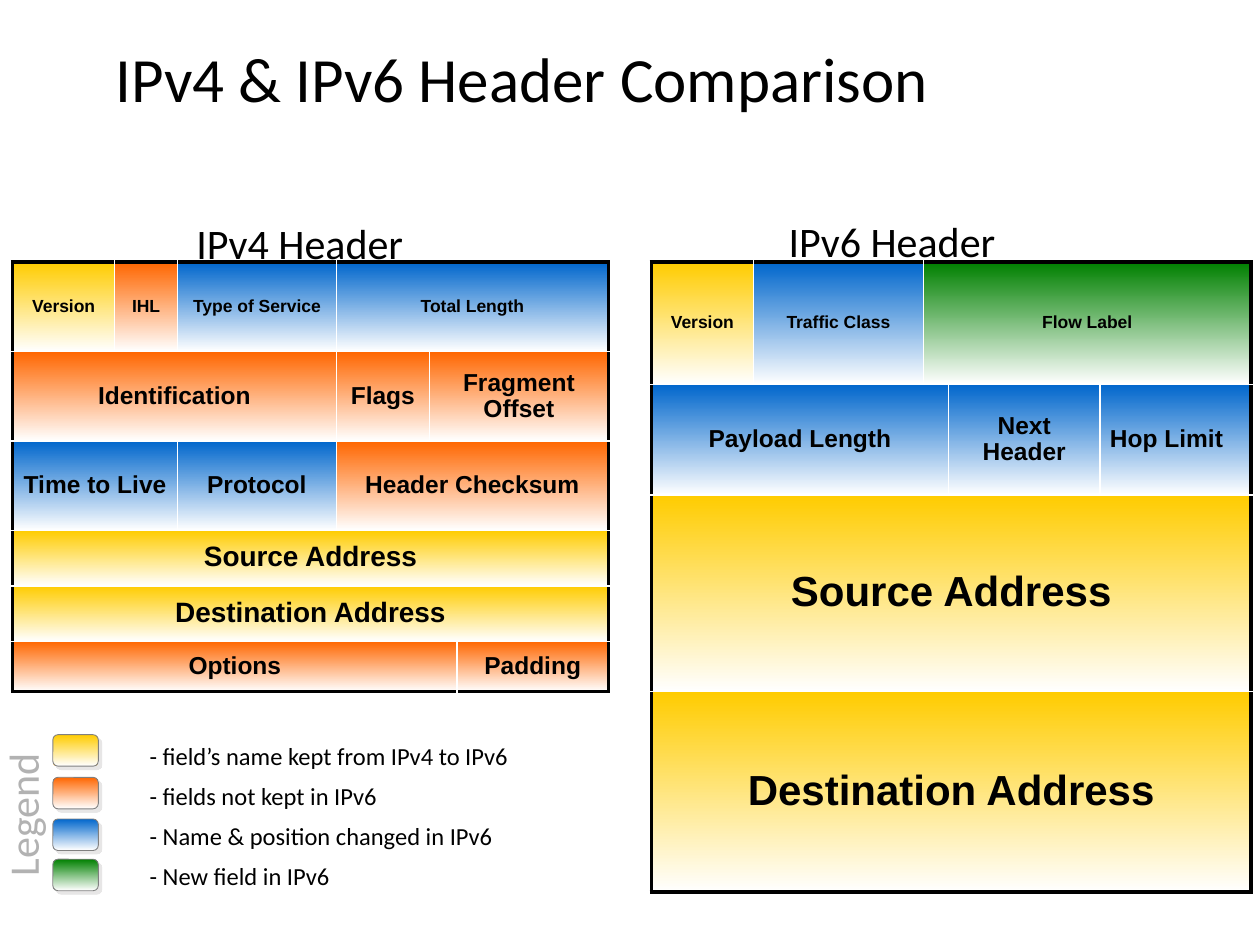
from lxml.etree import SubElement
from pptx import Presentation
from pptx.dml.color import RGBColor
from pptx.enum.shapes import MSO_SHAPE
from pptx.enum.text import MSO_ANCHOR, MSO_AUTO_SIZE, PP_ALIGN
from pptx.oxml.ns import qn
from pptx.util import Pt

THEME = {
    "heading_font": "Calibri", "field_font": "Arial",
    "text": "000000", "muted": "B2B2B2", "outer": "000000", "inner": "FFFFFF",
    "fade": "FFFFFF", "key_line": "808080", "key_shadow": "E7E6E6",
    "kept": "FFCC00", "dropped": "FF6600", "changed": "0066CC", "new": "008000",
    "title": 36, "heading": 24, "address": 24, "wide": 16, "body": 14, "small": 10,
}


def write(frame, text, size="body", font="heading_font", color="text", bold=False,
          align=PP_ALIGN.LEFT, spacing=0.95, gap=0, indent=0,
          anchor=MSO_ANCHOR.TOP, wrap=True, fit=MSO_AUTO_SIZE.SHAPE_TO_FIT_TEXT):
    """Fill a text frame, one paragraph for each line of text."""
    frame.word_wrap = wrap
    frame.auto_size = fit
    frame.vertical_anchor = anchor
    frame.margin_left = frame.margin_right = Pt(6.5)
    frame.margin_top = frame.margin_bottom = Pt(3.2)
    for number, line in enumerate(text.split("\n")):
        paragraph = frame.add_paragraph() if number else frame.paragraphs[0]
        paragraph.text = line
        if indent:
            paragraph._p.get_or_add_pPr().set("marL", str(Pt(indent)))
        paragraph.alignment = align
        paragraph.line_spacing = spacing
        paragraph.space_before = Pt(gap if number else 0)
        paragraph.font.size = Pt(THEME[size])
        paragraph.font.name = THEME[font]
        paragraph.font.bold = bold
        paragraph.font.color.rgb = RGBColor.from_string(THEME[color])


def shade(fill, status):
    """Fade from the status colour at the top to white at the bottom."""
    fill.gradient()
    fill.gradient_angle = 270
    for stop, color, position in zip(fill.gradient_stops, (status, "fade"), (0, 1)):
        stop.color.rgb = RGBColor.from_string(THEME[color])
        stop.position = position


presentation = Presentation()
presentation.slide_width, presentation.slide_height = Pt(720), Pt(540)
slide = presentation.slides.add_slide(presentation.slide_layouts[5])

# Title
title = slide.shapes.title
title.left, title.top, title.width, title.height = Pt(59), Pt(10), Pt(600.5), Pt(74.2)
write(title.text_frame, "IPv4 & IPv6 Header Comparison", size="title", spacing=0.9,
      anchor=MSO_ANCHOR.MIDDLE, fit=MSO_AUTO_SIZE.NONE)
title.text_frame.margin_left = Pt(7.2)

# Headers: each row has a height, a type size and fields of (name, columns, status)
headers = [
    {"name": "IPv4 Header", "name_at": (105.8, 121), "left": 7.2,
     "columns": [58.3, 36, 90.7, 53.3, 15.8, 86.4],
     "rows": [
         (51.1, "small", [("Version", 1, "kept"), ("IHL", 1, "dropped"),
                          ("Type of Service", 1, "changed"), ("Total Length", 3, "changed")]),
         (51.1, "body", [("Identification", 3, "dropped"), ("Flags", 1, "dropped"),
                         ("Fragment Offset", 2, "dropped")]),
         (51.1, "body", [("Time to Live", 2, "changed"), ("Protocol", 1, "changed"),
                         ("Header Checksum", 3, "dropped")]),
         (31.7, "wide", [("Source Address", 6, "kept")]),
         (31.7, "wide", [("Destination Address", 6, "kept")]),
         (28.8, "body", [("Options", 5, "dropped"), ("Padding", 1, "dropped")]),
     ]},
    {"name": "IPv6 Header", "name_at": (444.2, 120.2), "left": 372.2,
     "columns": [58.3, 97.2, 13, 86.4, 86.4],
     "rows": [
         (69.8, "small", [("Version", 1, "kept"), ("Traffic Class", 1, "changed"),
                          ("Flow Label", 3, "new")]),
         (63.4, "body", [("Payload Length", 3, "changed"), ("Next Header", 1, "changed"),
                         ("Hop Limit", 1, "changed")]),
         (112.3, "address", [("Source Address", 5, "kept")]),
         (114.5, "address", [("Destination Address", 5, "kept")]),
     ]},
]

for header in headers:
    columns, rows = header["columns"], header["rows"]
    grid = slide.shapes.add_table(
        len(rows), len(columns), Pt(header["left"]), Pt(149.8),
        Pt(sum(columns)), Pt(sum(row[0] for row in rows))).table
    grid.first_row = grid.horz_banding = False
    for column, width in zip(grid.columns, columns):
        column.width = Pt(width)

    for row, (height, size, fields) in enumerate(rows):
        grid.rows[row].height = Pt(height)
        start = 0
        for name, span, status in fields:
            end = start + span - 1
            field = grid.cell(row, start)
            if span > 1:
                field.merge(grid.cell(row, end))

            # Black on the outside of the header, white between fields
            outside = {"L": start == 0, "R": end == len(columns) - 1,
                       "T": row == 0, "B": row == len(rows) - 1}
            for column in range(start, end + 1):
                cell = grid.cell(row, column)
                properties = cell._tc.get_or_add_tcPr()
                for side, is_outer in outside.items():
                    if column > start and (side == "L" or side == "R" and column < end):
                        continue
                    border = SubElement(properties, qn(f"a:ln{side}"),
                                        w=str(Pt(2.25 if is_outer else 1)))
                    paint = SubElement(border, qn("a:solidFill"))
                    SubElement(paint, qn("a:srgbClr"),
                               val=THEME["outer" if is_outer else "inner"])
                shade(cell.fill, status)

            write(field.text_frame, name, size=size, font="field_font", bold=True,
                  align=PP_ALIGN.LEFT if name == "Hop Limit" else PP_ALIGN.CENTER,
                  fit=None)
            field.vertical_anchor = MSO_ANCHOR.MIDDLE
            field.margin_left = field.margin_right = Pt(5.8)
            field.margin_top = field.margin_bottom = Pt(2.9)
            start = end + 1

    left, top = header["name_at"]
    heading = slide.shapes.add_textbox(Pt(left), Pt(top), Pt(149), Pt(34.6))
    write(heading.text_frame, header["name"], size="heading", spacing=1, wrap=False)

# Legend keys
legend = [("kept", 419.8, "- field’s name kept from IPv4 to IPv6"),
          ("dropped", 444.2, "- fields not kept in IPv6"),
          ("changed", 468, "- Name & position changed in IPv6"),
          ("new", 491, "- New field in IPv6")]
for status, top, _ in legend:
    key = slide.shapes.add_shape(MSO_SHAPE.ROUNDED_RECTANGLE, Pt(30.2), Pt(top), Pt(26), Pt(18))
    shade(key.fill, status)
    key.line.color.rgb = RGBColor.from_string(THEME["key_line"])
    key.line.width = Pt(0.5)
    key.shadow.inherit = False
    shadow = SubElement(key._element.spPr.find(qn("a:effectLst")), qn("a:outerShdw"),
                        dist=str(Pt(2.8)), dir="2700000", algn="ctr", rotWithShape="0")
    SubElement(shadow, qn("a:srgbClr"), val=THEME["key_shadow"])

# Legend wording
meanings = slide.shapes.add_textbox(Pt(54), Pt(421.2), Pt(270), Pt(95))
write(meanings.text_frame, "\n".join(meaning for _, _, meaning in legend), gap=7, indent=25)
legend_name = slide.shapes.add_textbox(Pt(-35.3), Pt(448.6), Pt(98.6), Pt(33.8))
legend_name.rotation = 270
write(legend_name.text_frame, "Legend", size="heading", color="muted", align=PP_ALIGN.CENTER)

presentation.save("out.pptx")
